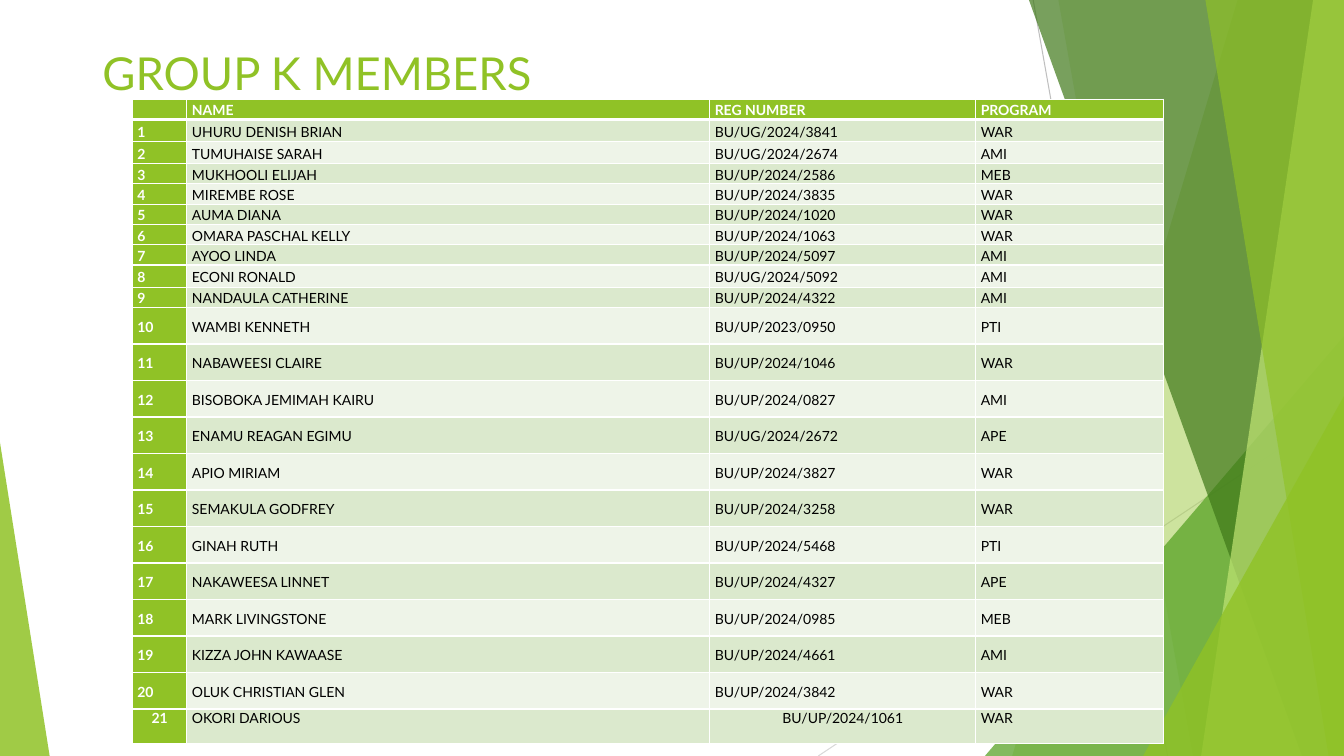
from lxml.etree import SubElement
from pptx import Presentation
from pptx.dml.color import RGBColor
from pptx.enum.shapes import MSO_CONNECTOR, MSO_SHAPE
from pptx.enum.text import MSO_ANCHOR, MSO_AUTO_SIZE, PP_ALIGN
from pptx.oxml import parse_xml
from pptx.oxml.ns import nsdecls, qn
from pptx.util import Pt

FONT = "Lato"
SLIDE_WIDTH, SLIDE_HEIGHT = 960, 540
COLORS = {
    "green": "90C226", "leaf": "54A021", "forest": "3F7819", "lime": "C0E474",
    "odd row": "DBE9CD", "even row": "EEF4E8", "white": "FFFFFF", "black": "000000",
    "gray": "BFBFBF", "pale gray": "D9D9D9",
}
HEADINGS = ("", "NAME", "REG NUMBER", "PROGRAM")
MEMBERS = [
    ("UHURU DENISH BRIAN", "BU/UG/2024/3841", "WAR"),
    ("TUMUHAISE SARAH", "BU/UG/2024/2674", "AMI"),
    ("MUKHOOLI ELIJAH", "BU/UP/2024/2586", "MEB"),
    ("MIREMBE ROSE", "BU/UP/2024/3835", "WAR"),
    ("AUMA DIANA", "BU/UP/2024/1020", "WAR"),
    ("OMARA PASCHAL KELLY", "BU/UP/2024/1063", "WAR"),
    ("AYOO LINDA", "BU/UP/2024/5097", "AMI"),
    ("ECONI RONALD", "BU/UG/2024/5092", "AMI"),
    ("NANDAULA CATHERINE", "BU/UP/2024/4322", "AMI"),
    ("WAMBI KENNETH", "BU/UP/2023/0950", "PTI"),
    ("NABAWEESI CLAIRE", "BU/UP/2024/1046", "WAR"),
    ("BISOBOKA JEMIMAH KAIRU", "BU/UP/2024/0827", "AMI"),
    ("ENAMU REAGAN EGIMU", "BU/UG/2024/2672", "APE"),
    ("APIO MIRIAM", "BU/UP/2024/3827", "WAR"),
    ("SEMAKULA GODFREY", "BU/UP/2024/3258", "WAR"),
    ("GINAH RUTH", "BU/UP/2024/5468", "PTI"),
    ("NAKAWEESA LINNET", "BU/UP/2024/4327", "APE"),
    ("MARK LIVINGSTONE", "BU/UP/2024/0985", "MEB"),
    ("KIZZA JOHN KAWAASE", "BU/UP/2024/4661", "AMI"),
    ("OLUK CHRISTIAN GLEN", "BU/UP/2024/3842", "WAR"),
    ("OKORI DARIOUS", "BU/UP/2024/1061", "WAR"),
]
COLUMN_WIDTHS = (39, 373.5, 190, 134)
ROW_HEIGHTS = [14.5, 15.8, 15.8] + [14.5] * 5 + [15.8, 14.5] + [26.1] * 11 + [24.5]
CELL_FORMAT = {
    "margin_left": Pt(3.6), "margin_right": Pt(3.6), "margin_top": 0,
    "margin_bottom": 0, "vertical_anchor": MSO_ANCHOR.MIDDLE,
}
LAST_ROW_PARA = {"line_spacing": 1.07, "space_after": Pt(8)}

# Top x, bottom x, colour and opacity of each band reaching the right edge
BACK_BANDS = [(884, 723, "green", 30), (756, 852, "green", 20)]
FRONT_BANDS = [(735, 930, "forest", 70), (938, 858, "lime", 70), (861, 949, "green", 65)]


def rgb(color):
    return RGBColor.from_string(COLORS[color])


def set_all(target, values):
    for name, value in values.items():
        setattr(target, name, value)


def paint(shape, color, opacity):
    """Give a shape a translucent fill with no outline or shadow."""
    shape.shadow.inherit = False
    shape.line.fill.background()
    shape.fill.solid()
    shape.fill.fore_color.rgb = rgb(color)
    color_node = shape.fill._xPr.find(qn("a:solidFill"))[0]
    SubElement(color_node, qn("a:alpha")).set("val", str(opacity * 1000))


def add_line(slide, start, end, color):
    line = slide.shapes.add_connector(
        MSO_CONNECTOR.STRAIGHT, *(Pt(value) for value in start + end))
    line.line.width = Pt(0.75)
    line.line.color.rgb = rgb(color)
    SubElement(line._element.spPr, qn("a:effectLst"))


def add_band(slide, top_x, bottom_x, color, opacity):
    builder = slide.shapes.build_freeform(Pt(top_x), 0)
    corners = [(SLIDE_WIDTH, 0), (SLIDE_WIDTH, SLIDE_HEIGHT), (bottom_x, SLIDE_HEIGHT)]
    builder.add_line_segments([(Pt(x), Pt(y)) for x, y in corners], close=True)
    paint(builder.convert_to_shape(), color, opacity)


def add_triangle(slide, left, top, width, apex, color, opacity):
    """Add a right triangle standing on the bottom edge of the slide."""
    shape = slide.shapes.add_shape(
        MSO_SHAPE.ISOSCELES_TRIANGLE,
        Pt(left), Pt(top), Pt(width), Pt(SLIDE_HEIGHT - top))
    shape.adjustments[0] = apex
    paint(shape, color, opacity)


def add_background(slide):
    add_line(slide, (738, 0), (834, 540), "gray")
    add_line(slide, (960, 290), (584.5, 540), "pale gray")
    for band in BACK_BANDS:
        add_band(slide, *band)
    add_triangle(slide, 703.5, 240, 256.5, 1, "leaf", 72)
    for band in FRONT_BANDS:
        add_band(slide, *band)
    add_triangle(slide, 816.5, 283, 143.5, 1, "green", 80)
    add_triangle(slide, 0, 316, 35.5, 0, "green", 85)


def add_title(slide, text):
    title = slide.shapes.title
    set_all(title, {"left": Pt(66), "top": Pt(28.5), "width": Pt(834.5), "height": Pt(42.5)})
    frame = title.text_frame
    set_all(frame, {"text": text, "word_wrap": True, "auto_size": MSO_AUTO_SIZE.NONE,
                    "vertical_anchor": MSO_ANCHOR.TOP})
    para = frame.paragraphs[0]
    set_all(para, {"alignment": PP_ALIGN.LEFT, "line_spacing": 1.0, "space_before": Pt(0)})
    span = para.runs[0]
    set_all(span.font, {"name": FONT, "size": Pt(32.4)})
    span.font.color.rgb = rgb("green")


def add_borders(cell, widths):
    properties = cell._tc.get_or_add_tcPr()
    for index, (side, width) in enumerate(widths.items()):
        properties.insert(index, parse_xml(
            f'<a:ln{side} {nsdecls("a")} w="{Pt(width)}"><a:solidFill>'
            f'<a:srgbClr val="{COLORS["white"]}"/></a:solidFill></a:ln{side}>'))


def fill_cell(cell, text, fill, strong, para_format):
    set_all(cell, CELL_FORMAT)
    cell.fill.solid()
    cell.fill.fore_color.rgb = rgb(fill)
    para = cell.text_frame.paragraphs[0]
    set_all(para, para_format)
    if not text:
        para._p.get_or_add_endParaRPr().set("sz", "1000")
        return
    span = para.add_run()
    span.text = text
    set_all(span.font, {"name": FONT, "size": Pt(10), "bold": strong})
    span.font.color.rgb = rgb("white" if strong else "black")


def add_member_table(slide):
    rows = [HEADINGS] + [(str(number), *member) for number, member in enumerate(MEMBERS, 1)]
    table = slide.shapes.add_table(
        len(rows), len(HEADINGS), Pt(94.5), Pt(70.8),
        Pt(sum(COLUMN_WIDTHS)), Pt(sum(ROW_HEIGHTS))).table
    table.first_col = True
    for column, width in zip(table.columns, COLUMN_WIDTHS):
        column.width = Pt(width)
    for row_index, values in enumerate(rows):
        table.rows[row_index].height = Pt(ROW_HEIGHTS[row_index])
        header, last = row_index == 0, row_index == len(rows) - 1
        stripe = "odd row" if row_index % 2 else "even row"
        borders = {"L": 1, "R": 1, "T": 1, "B": 3} if header else {"L": 1, "R": 1, "B": 1}
        for column_index, text in enumerate(values):
            cell = table.cell(row_index, column_index)
            strong = header or column_index == 0
            para_format = LAST_ROW_PARA if last else {"line_spacing": 1.14}
            fill_cell(cell, text, "green" if strong else stripe, strong, para_format)
            add_borders(cell, borders)
            if last:
                cell.vertical_anchor = MSO_ANCHOR.TOP
                if column_index in (0, 2):
                    cell.text_frame.paragraphs[0].alignment = PP_ALIGN.CENTER


def main():
    deck = Presentation()
    set_all(deck, {"slide_width": Pt(SLIDE_WIDTH), "slide_height": Pt(SLIDE_HEIGHT)})
    slide = deck.slides.add_slide(deck.slide_layouts[5])
    add_background(slide)
    add_title(slide, "GROUP K MEMBERS")
    add_member_table(slide)
    deck.save("out.pptx")


if __name__ == "__main__":
    main()
